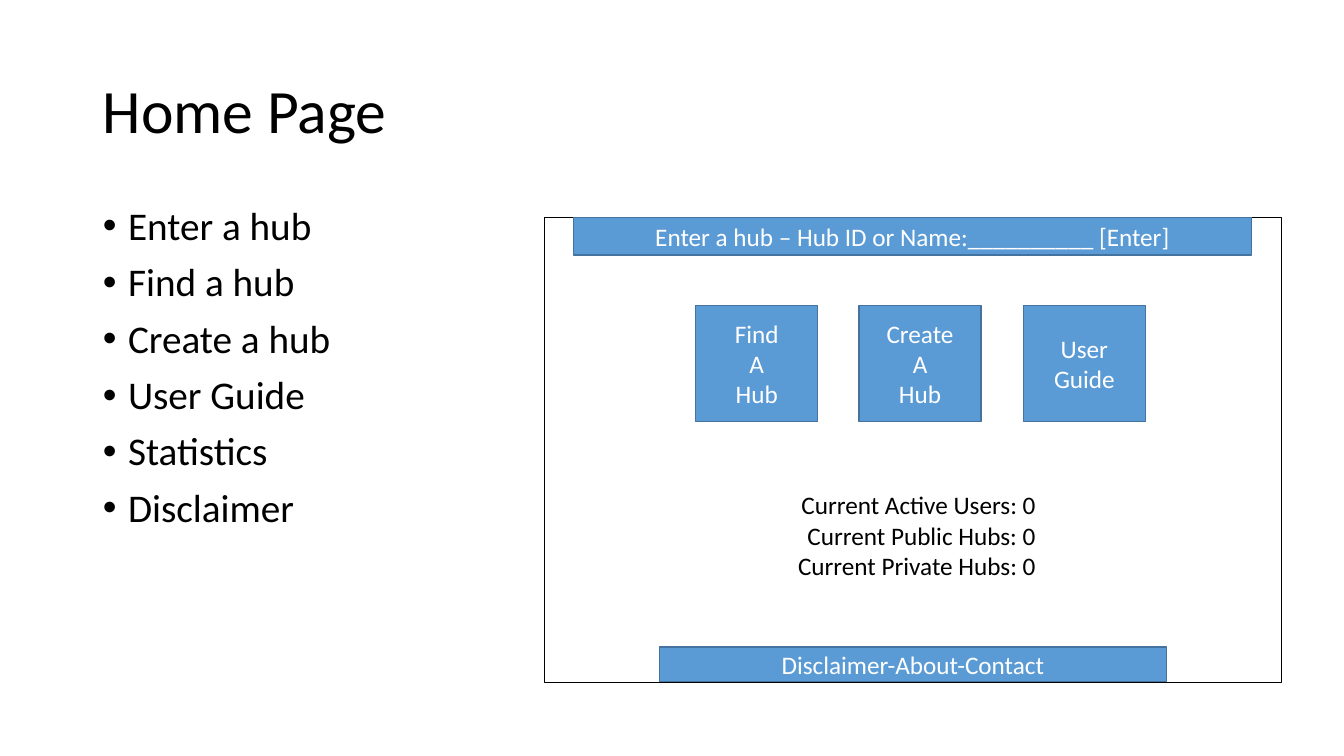
import dataclasses

import pptx
import pptx.dml.color
import pptx.enum.shapes
import pptx.enum.text
import pptx.util

PX = 9144
ALIGN = pptx.enum.text.PP_ALIGN
ANCHOR = pptx.enum.text.MSO_ANCHOR


@dataclasses.dataclass(frozen=True)
class Theme:
    font: str = "Calibri"
    ink: str = "000000"
    paper: str = "FFFFFF"
    accent: str = "5B9BD5"
    accent_edge: str = "43739E"
    title_size: int = 44
    list_size: int = 28
    label_size: int = 18
    line_width: int = 1


THEME = Theme()


def rgb(code):
    return pptx.dml.color.RGBColor.from_string(code)


def apply_format(obj, values):
    for name, value in values.items():
        setattr(obj, name, value)


def emu(box):
    return [v * PX for v in box]


def within(box, x, y, w, h):
    return box[0] + x, box[1] + y, w, h


def set_place(sp, box):
    apply_format(sp, dict(zip(("left", "top", "width", "height"), emu(box))))


def write(tf, lines, size, color, paragraph, frame):
    apply_format(tf, {"word_wrap": True, **frame})
    tf.text = "\n".join(lines)
    for p in tf.paragraphs:
        apply_format(p, paragraph)
        for r in p.runs:
            apply_format(r.font, {"name": THEME.font, "size": pptx.util.Pt(size)})
            r.font.color.rgb = rgb(color)


def add_rect(s, box, fill, line):
    sp = s.shapes.add_shape(pptx.enum.shapes.MSO_SHAPE.RECTANGLE, *emu(box))
    sp.shadow.inherit = False
    sp.fill.solid()
    sp.fill.fore_color.rgb = rgb(fill)
    sp.line.color.rgb = rgb(line)
    sp.line.width = pptx.util.Pt(THEME.line_width)
    return sp


def add_button(s, box, lines):
    sp = add_rect(s, box, THEME.accent, THEME.accent_edge)
    write(sp.text_frame, lines, THEME.label_size, THEME.paper,
          {"alignment": ALIGN.CENTER}, {"vertical_anchor": ANCHOR.MIDDLE})


def add_title(s, box, text):
    sp = s.shapes.title
    set_place(sp, box)
    write(sp.text_frame, [text], THEME.title_size, THEME.ink,
          {"alignment": ALIGN.LEFT, "line_spacing": 0.9},
          {"vertical_anchor": ANCHOR.MIDDLE})


def add_features(s, box, items):
    sp = s.placeholders[1]
    set_place(sp, box)
    write(sp.text_frame, items, THEME.list_size, THEME.ink,
          {"line_spacing": 0.9, "space_before": pptx.util.Pt(10)},
          {"vertical_anchor": ANCHOR.TOP})
    for p in sp.text_frame.paragraphs:
        pPr = p._p.get_or_add_pPr()
        pPr.set("marL", str(25 * PX))
        pPr.set("indent", str(-25 * PX))


def add_statistics(s, box, lines):
    sp = s.shapes.add_textbox(*emu(box))
    write(sp.text_frame, lines, THEME.label_size, THEME.ink,
          {"alignment": ALIGN.RIGHT},
          {"auto_size": pptx.enum.text.MSO_AUTO_SIZE.SHAPE_TO_FIT_TEXT})


def add_mockup(s, box):
    add_rect(s, box, THEME.paper, THEME.ink)
    add_button(s, within(box, 114, 426, 503, 34), ["Disclaimer-About-Contact"])
    add_button(s, within(box, 29, 0, 672, 37),
               ["Enter a hub – Hub ID or Name:__________ [Enter]"])
    tiles = [["Find", "A", "Hub"], ["Create", "A", "Hub"], ["User", "Guide"]]
    for i, lines in enumerate(tiles):
        add_button(s, within(box, 150 + i * 325 // 2, 87, 121, 115), lines)
    add_statistics(s, within(box, 235, 265, 262, 101),
                   [f"Current {kind}: 0" for kind in
                    ("Active Users", "Public Hubs", "Private Hubs")])


def main():
    prs = pptx.Presentation()
    apply_format(prs, {"slide_width": 1333 * PX, "slide_height": 750 * PX})
    s = prs.slides.add_slide(prs.slide_layouts[1])
    add_title(s, (92, 40, 1150, 145), "Home Page")
    add_features(s, (92, 200, 357, 476),
                 ["Enter a hub", "Find a hub", "Create a hub",
                  "User Guide", "Statistics", "Disclaimer"])
    add_mockup(s, (540, 216, 731, 461))
    prs.save("out.pptx")


if __name__ == "__main__":
    main()
